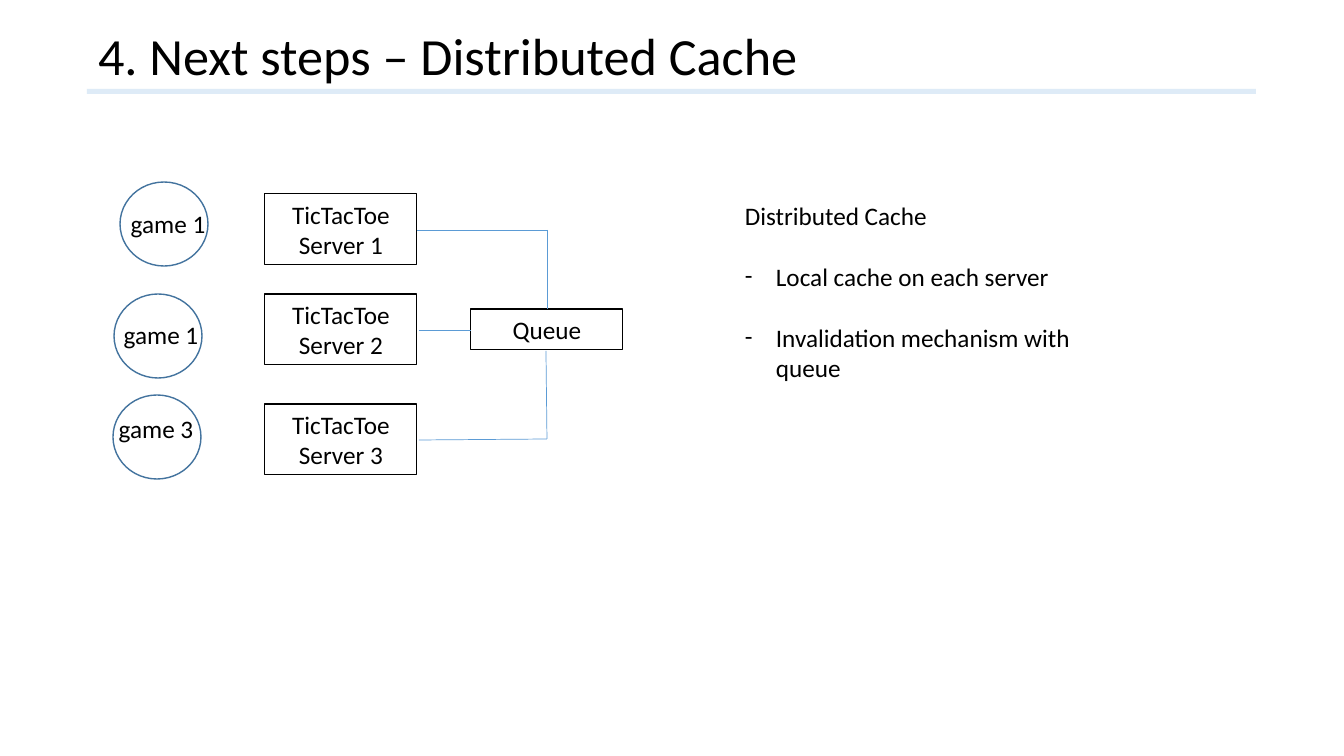
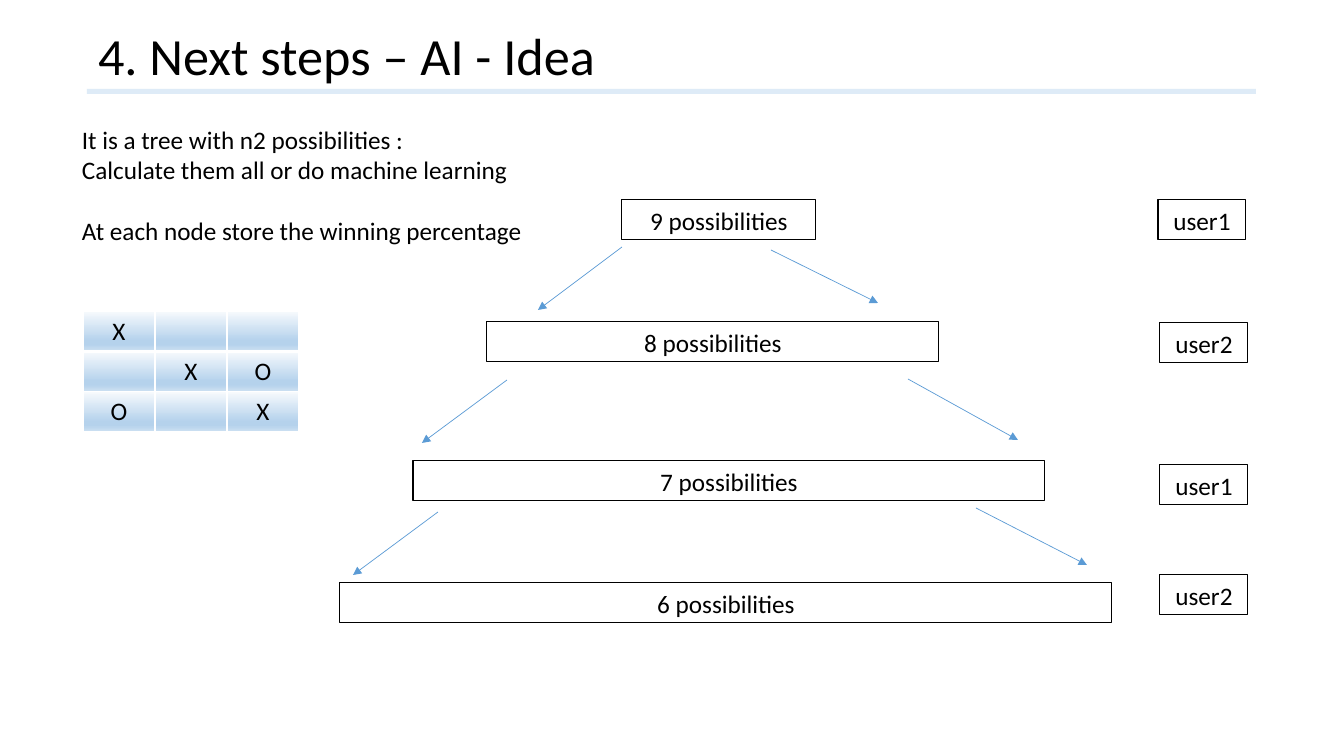
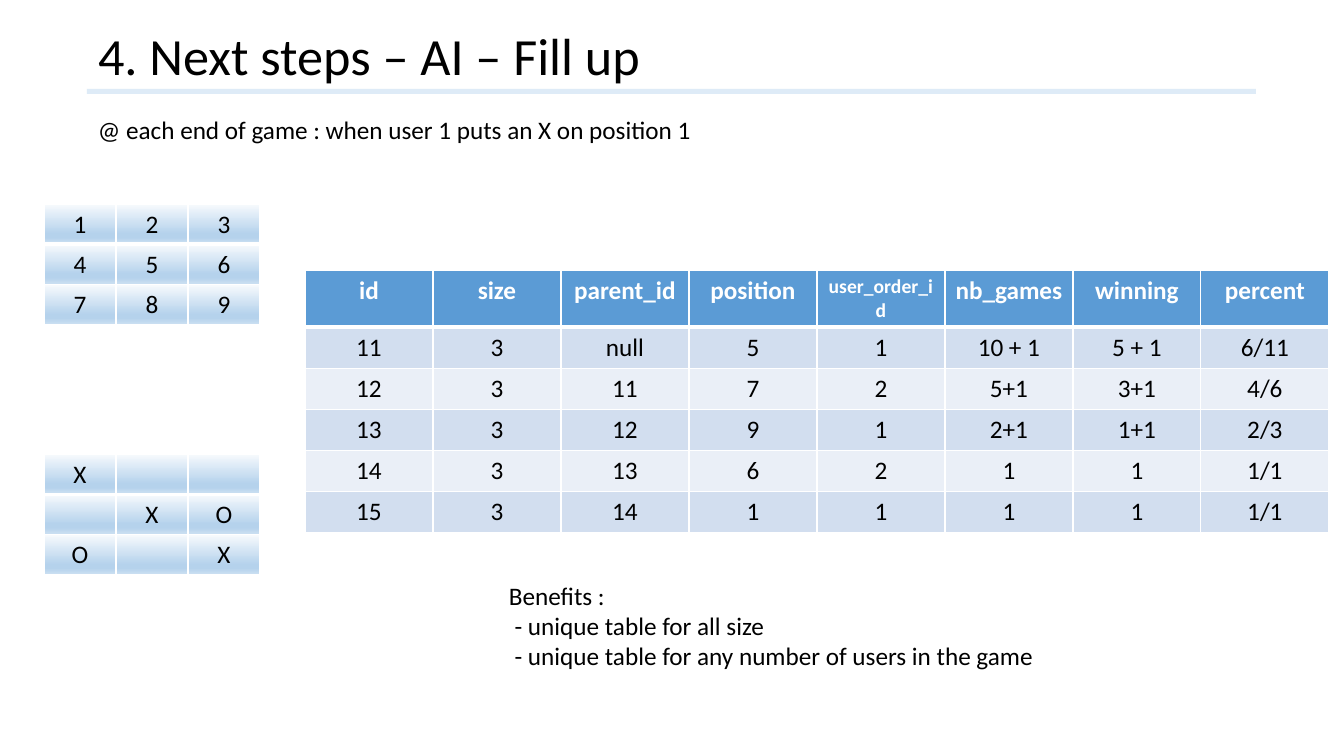
from collections.abc import Sequence
from dataclasses import dataclass

from lxml.etree import SubElement
from pptx import Presentation
from pptx.dml.color import RGBColor
from pptx.enum.shapes import MSO_CONNECTOR, MSO_SHAPE
from pptx.enum.text import MSO_ANCHOR, PP_ALIGN
from pptx.oxml.ns import qn
from pptx.slide import Slide
from pptx.table import Table, _Cell
from pptx.text.text import TextFrame
from pptx.util import Emu, Pt

FONT = "Calibri"
BODY_SIZE = 18
BLACK = "000000"
WHITE = "FFFFFF"
BLUE = "5B9BD5"
CIRCLE_BLUE = "43739E"
TITLE_BAND = "DEEBF7"
ROW_FILLS = ("D2DEEF", "EAEFF7")
BOARD_STOPS = ((0, "F7FAFD"), (74, "B5D2EC"), (83, "B5D2EC"), (100, "CEE1F2"))
BLANK_LINE = 22
BULLET_INDENT = 31
CELL_SIDES = ("lnL", "lnR", "lnT", "lnB")


@dataclass(frozen=True)
class Line:
    text: str
    space_before: float = 0
    bullet: str = ""


@dataclass(frozen=True)
class Box:
    text: str
    left: int
    top: int
    width: int
    height: int = 40


@dataclass(frozen=True)
class Game:
    label: str
    circle_left: int
    circle_top: int
    label_left: int
    label_top: int


@dataclass(frozen=True)
class Link:
    start: tuple[int, int]
    end: tuple[int, int]
    arrow: bool = False


def pixels(value: float) -> Emu:
    return Emu(round(value * 914400 / 100.8))


def color(value: str) -> RGBColor:
    return RGBColor.from_string(value)


def write(
    frame: TextFrame,
    text: str | Sequence[Line],
    *,
    size: float = BODY_SIZE,
    font_color: str = BLACK,
    bold: bool = False,
    align: PP_ALIGN = PP_ALIGN.LEFT,
    anchor: MSO_ANCHOR = MSO_ANCHOR.TOP,
    wrap: bool = True,
    line_spacing: float = 1.0,
) -> None:
    frame.word_wrap = wrap
    frame.vertical_anchor = anchor
    lines = [Line(text)] if isinstance(text, str) else text
    for index, line in enumerate(lines):
        paragraph = frame.add_paragraph() if index else frame.paragraphs[0]
        paragraph.alignment = align
        paragraph.line_spacing = line_spacing
        paragraph.space_before = Pt(line.space_before)
        if line.bullet:
            properties = paragraph._p.get_or_add_pPr()
            properties.set("marL", str(pixels(BULLET_INDENT)))
            properties.set("indent", str(-pixels(BULLET_INDENT)))
            SubElement(properties, qn("a:buFont"), typeface=FONT)
            SubElement(properties, qn("a:buChar"), char=line.bullet)
        run = paragraph.add_run()
        run.text = line.text
        run.font.name = FONT
        run.font.size = Pt(size)
        run.font.bold = bold
        run.font.color.rgb = color(font_color)


def add_text(slide: Slide, box: Box, lines: Sequence[Line] = (), **text_format) -> None:
    shape = slide.shapes.add_textbox(*map(pixels, (box.left, box.top, box.width, box.height)))
    write(shape.text_frame, lines or box.text, **text_format)


def add_outline(
    slide: Slide, kind: MSO_SHAPE, box: Box, line_color: str = BLACK, line_width: float = 0.75
) -> None:
    shape = slide.shapes.add_shape(kind, *map(pixels, (box.left, box.top, box.width, box.height)))
    shape.shadow.inherit = False
    shape.fill.background()
    shape.line.color.rgb = color(line_color)
    shape.line.width = Pt(line_width)
    if box.text:
        write(shape.text_frame, box.text, align=PP_ALIGN.CENTER)


def add_boxes(slide: Slide, boxes: Sequence[Box]) -> None:
    for box in boxes:
        add_outline(slide, MSO_SHAPE.RECTANGLE, box)


def add_links(slide: Slide, links: Sequence[Link]) -> None:
    for link in links:
        connector = slide.shapes.add_connector(
            MSO_CONNECTOR.STRAIGHT, *map(pixels, (*link.start, *link.end))
        )
        connector.line.color.rgb = color(BLUE)
        connector.line.width = Pt(0.5)
        properties = connector.element.spPr
        if link.arrow:
            SubElement(properties.find(qn("a:ln")), qn("a:tailEnd"), type="triangle")
        SubElement(properties, qn("a:effectLst"))


def add_color_fill(parent, value: str) -> None:
    SubElement(SubElement(parent, qn("a:solidFill")), qn("a:srgbClr"), val=value)


def border_cell(cell: _Cell, row: int) -> None:
    properties = cell._tc.get_or_add_tcPr()
    for side in CELL_SIDES:
        thick = (row, side) in ((0, "lnB"), (1, "lnT"))
        border = SubElement(properties, qn(f"a:{side}"), w=str(Pt(3 if thick else 1)))
        add_color_fill(border, WHITE)


def fill_board_cell(cell: _Cell) -> None:
    gradient = SubElement(cell._tc.get_or_add_tcPr(), qn("a:gradFill"), rotWithShape="1")
    stops = SubElement(gradient, qn("a:gsLst"))
    for percent, value in BOARD_STOPS:
        stop = SubElement(stops, qn("a:gs"), pos=str(percent * 1000))
        SubElement(stop, qn("a:srgbClr"), val=value)
    SubElement(gradient, qn("a:lin"), ang="5400000", scaled="0")


def add_grid(
    slide: Slide, left: int, top: int, column_width: int, row_height: int, rows: int, columns: int
) -> Table:
    frame = slide.shapes.add_table(
        rows,
        columns,
        *map(pixels, (left, top, column_width * columns, row_height * rows)),
    )
    table = frame.table
    table.first_row = False
    table.horz_banding = False
    for column in table.columns:
        column.width = pixels(column_width)
    for row_index, row in enumerate(table.rows):
        row.height = pixels(row_height)
        for cell in row.cells:
            border_cell(cell, row_index)
    return table


def add_board(slide: Slide, left: int, top: int, marks: Sequence[str]) -> None:
    table = add_grid(slide, left, top, 72, 40, len(marks), len(marks[0]))
    for row, row_marks in zip(table.rows, marks):
        for cell, mark in zip(row.cells, row_marks):
            fill_board_cell(cell)
            if mark != ".":
                write(cell.text_frame, mark, align=PP_ALIGN.CENTER)


def add_records(
    slide: Slide, left: int, top: int, header: Sequence[str], records: Sequence[Sequence[str]]
) -> None:
    table = add_grid(slide, left, top, 128, 41, len(records) + 1, len(header))
    for index, (row, values) in enumerate(zip(table.rows, (header, *records))):
        is_header = index == 0
        for cell, value in zip(row.cells, values):
            cell.fill.solid()
            cell.fill.fore_color.rgb = color(BLUE if is_header else ROW_FILLS[(index - 1) % 2])
            write(
                cell.text_frame,
                value,
                size=14 if value == "user_order_id" else BODY_SIZE,
                font_color=WHITE if is_header else BLACK,
                bold=is_header,
                align=PP_ALIGN.CENTER,
            )


def add_titled_slide(presentation: Presentation, title: str) -> Slide:
    slide = presentation.slides.add_slide(presentation.slide_layouts[5])
    band = slide.shapes.add_shape(MSO_SHAPE.RECTANGLE, *map(pixels, (87, 89, 1169, 5)))
    band.shadow.inherit = False
    band.fill.solid()
    band.fill.fore_color.rgb = color(TITLE_BAND)
    band.line.fill.background()
    shape = slide.shapes.title
    shape.left, shape.top, shape.width, shape.height = map(pixels, (88, 25, 1169, 68))
    write(shape.text_frame, title, size=37.3, anchor=MSO_ANCHOR.MIDDLE, line_spacing=0.9)
    return slide


FINAL_BOARD = ("X..", ".XO", "O.X")


def build_cache_slide(presentation: Presentation) -> None:
    slide = add_titled_slide(presentation, "4. Next steps – Distributed Cache")
    add_text(
        slide,
        Box("", 735, 195, 378, 254),
        (
            Line("Distributed Cache"),
            Line("Local cache on each server", BLANK_LINE, "-"),
            Line("Invalidation mechanism with queue", BLANK_LINE, "-"),
        ),
    )
    servers = [
        Box(f"TicTacToe Server {number}", 265, top, 152, 71)
        for number, top in enumerate((194, 294, 404), 1)
    ]
    add_boxes(slide, (*servers, Box("Queue", 471, 309, 152, 41)))
    add_links(
        slide,
        (
            Link((417, 230), (547, 230)),
            Link((419, 440), (547, 439)),
            Link((419, 330), (471, 330)),
            Link((547, 230), (547, 309)),
            Link((546, 351), (547, 439)),
        ),
    )
    games = (
        Game("game 1", 120, 182, 120, 203),
        Game("game 1", 114, 294, 113, 314),
        Game("game 3", 113, 395, 108, 408),
    )
    for game in games:
        circle = Box("", game.circle_left, game.circle_top, 88, 84)
        add_outline(slide, MSO_SHAPE.OVAL, circle, CIRCLE_BLUE, 1)
        label = Box(game.label, game.label_left, game.label_top, 96)
        add_text(slide, label, align=PP_ALIGN.CENTER, wrap=False)


def build_idea_slide(presentation: Presentation) -> None:
    slide = add_titled_slide(presentation, "4. Next steps – AI - Idea")
    add_text(
        slide,
        Box("", 72, 119, 824, 194),
        (
            Line("It is a tree with n2 possibilities :"),
            Line("Calculate them all or do machine learning"),
            Line("At each node store the winning percentage", BLANK_LINE),
        ),
    )
    add_board(slide, 83, 311, FINAL_BOARD)
    levels = (
        Box("9 possibilities", 622, 200, 194),
        Box("8 possibilities", 487, 322, 452),
        Box("7 possibilities", 413, 461, 632),
        Box("6 possibilities", 340, 583, 772),
    )
    users = (
        Box("user1", 1158, 200, 88),
        Box("user2", 1160, 323, 88),
        Box("user1", 1160, 465, 88),
        Box("user2", 1160, 575, 88),
    )
    add_boxes(slide, (*levels, *users))
    add_links(
        slide,
        (
            Link((622, 247), (538, 310), True),
            Link((771, 250), (878, 303), True),
            Link((507, 380), (422, 443), True),
            Link((908, 379), (1018, 440), True),
            Link((438, 512), (353, 575), True),
            Link((976, 508), (1087, 565), True),
        ),
    )


def build_fill_up_slide(presentation: Presentation) -> None:
    slide = add_titled_slide(presentation, "4. Next steps – AI – Fill up")
    intro = "@ each end of game : when user 1 puts an X on position 1"
    add_text(slide, Box(intro, 88, 109, 824, 102))
    add_board(slide, 44, 204, ("123", "456", "789"))
    add_board(slide, 44, 454, FINAL_BOARD)
    add_records(
        slide,
        305,
        270,
        (
            "id", "size", "parent_id", "position",
            "user_order_id", "nb_games", "winning", "percent",
        ),
        (
            ("11", "3", "null", "5", "1", "10 + 1", "5 + 1", "6/11"),
            ("12", "3", "11", "7", "2", "5+1", "3+1", "4/6"),
            ("13", "3", "12", "9", "1", "2+1", "1+1", "2/3"),
            ("14", "3", "13", "6", "2", "1", "1", "1/1"),
            ("15", "3", "14", "1", "1", "1", "1", "1/1"),
        ),
    )
    add_text(
        slide,
        Box("", 499, 575, 824, 163),
        (
            Line("Benefits :"),
            Line(" - unique table for all size"),
            Line(" - unique table for any number of users in the game"),
        ),
    )


def main() -> None:
    presentation = Presentation()
    presentation.slide_width = pixels(1344)
    presentation.slide_height = pixels(756)
    build_cache_slide(presentation)
    build_idea_slide(presentation)
    build_fill_up_slide(presentation)
    presentation.save("out.pptx")


main()
